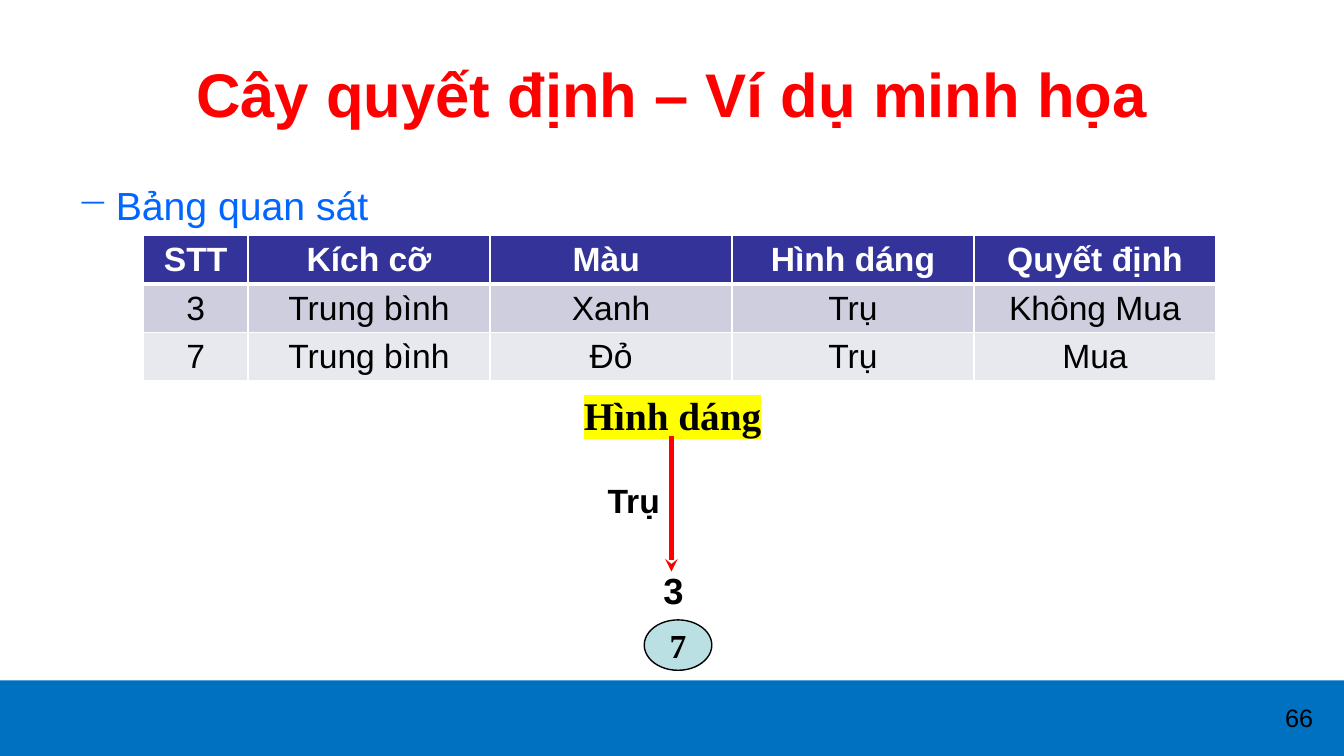
from lxml import etree
from pptx import Presentation
from pptx import util as u
from pptx.dml.color import RGBColor
from pptx.enum import shapes, text
from pptx.oxml.ns import qn


def rgb(value):
    return RGBColor.from_string(value)


def write(tf, words, size, color="000000", font="Arial", bold=True,
          align=text.PP_ALIGN.CENTER, anchor=text.MSO_ANCHOR.MIDDLE, wrap=True):
    tf.word_wrap = wrap
    tf.vertical_anchor = anchor
    p = tf.paragraphs[0]
    p.alignment = align
    r = p.add_run()
    r.text = words
    r.font.size = u.Pt(size)
    r.font.name = font
    r.font.bold = bold
    r.font.color.rgb = rgb(color)
    return p


prs = Presentation()
prs.slide_width = u.Inches(13.33)
prs.slide_height = u.Inches(7.5)
s = prs.slides.add_slide(prs.slide_layouts[6])

footer = s.shapes.add_shape(shapes.MSO_SHAPE.RECTANGLE, 0, u.Inches(6.75),
                            prs.slide_width, u.Inches(0.75))
footer.shadow.inherit = False
footer.fill.solid()
footer.fill.fore_color.rgb = rgb("0070C0")
footer.line.fill.background()

top = text.MSO_ANCHOR.TOP
serif = "Times New Roman"
labels = [
    ("66", (12.44, 6.92, 0.89, 0.4), dict(size=18, bold=False, anchor=top)),
    ("Cây quyết định – Ví dụ minh họa", (0.67, 0.3, 12, 1.25),
     dict(size=44, color="FF0000")),
    ("Bảng quan sát", (0.67, 1.75, 12, 0.58),
     dict(size=28, color="0066FF", bold=False, align=text.PP_ALIGN.LEFT, anchor=top)),
    ("Trụ", (4.91, 4.67, 2.75, 0.58), dict(size=24)),
    ("3", (5.89, 5.56, 1.58, 0.58), dict(size=26)),
    ("Hình dáng", (5.68, 3.83, 1.98, 0.57),
     dict(size=28, font=serif, anchor=top, wrap=False)),
]
paragraphs = {}
for words, box, style in labels:
    tb = s.shapes.add_textbox(*[u.Inches(v) for v in box])
    paragraphs[words] = write(tb.text_frame, words, **style)

pPr = paragraphs["Bảng quan sát"]._p.get_or_add_pPr()
pPr.set("marL", str(u.Inches(0.38)))
pPr.set("indent", str(-u.Inches(0.38)))
etree.SubElement(pPr, qn("a:buChar")).set("char", "─")

rPr = paragraphs["Hình dáng"].runs[0]._r.get_or_add_rPr()
highlight = etree.Element(qn("a:highlight"))
etree.SubElement(highlight, qn("a:srgbClr")).set("val", "FFFF00")
rPr.find(qn("a:solidFill")).addnext(highlight)

rows = [
    ("STT", "Kích cỡ", "Màu ", "Hình dáng", "Quyết định"),
    ("3", "Trung bình", "Xanh", "Trụ", "Không Mua"),
    ("7", "Trung bình", "Đỏ", "Trụ", "Mua"),
]
fills = ["333399", "CECEDE", "E8E8EF"]
table = s.shapes.add_table(3, 5, u.Inches(1.42), u.Inches(2.34),
                           u.Inches(10.64), u.Inches(1.41)).table
for i, column in enumerate(table.columns):
    column.width = u.Inches(2.4 if i else 1.04)
for i, row in enumerate(rows):
    table.rows[i].height = u.Inches(0.47)
    header = i == 0
    for j, words in enumerate(row):
        cell = table.cell(i, j)
        cell.margin_top = cell.margin_bottom = u.Inches(0.04)
        write(cell.text_frame, words, 24, "FFFFFF" if header else "000000", bold=header)
        cell.vertical_anchor = text.MSO_ANCHOR.MIDDLE
        cell.fill.solid()
        cell.fill.fore_color.rgb = rgb(fills[i])
        tcPr = cell._tc.get_or_add_tcPr()
        for k, side in enumerate(("lnL", "lnR", "lnT", "lnB")):
            thick = (side == "lnB" and i == 0) or (side == "lnT" and i == 1)
            ln = etree.Element(qn("a:" + side), w=str(u.Pt(3 if thick else 1)))
            fill = etree.SubElement(ln, qn("a:solidFill"))
            etree.SubElement(fill, qn("a:srgbClr")).set("val", "FFFFFF")
            tcPr.insert(k, ln)

arrow = s.shapes.add_connector(shapes.MSO_CONNECTOR.STRAIGHT, u.Inches(6.66),
                               u.Inches(4.33), u.Inches(6.66), u.Inches(5.67))
arrow.line.color.rgb = rgb("FF0000")
arrow.line.width = u.Pt(3)
etree.SubElement(arrow.line._get_or_add_ln(), qn("a:tailEnd")).set("type", "stealth")
etree.SubElement(arrow._element.spPr, qn("a:effectLst"))

leaf = s.shapes.add_shape(shapes.MSO_SHAPE.OVAL, u.Inches(6.39), u.Inches(6.15),
                          u.Inches(0.67), u.Inches(0.5))
leaf.shadow.inherit = False
leaf.fill.solid()
leaf.fill.fore_color.rgb = rgb("BBE0E3")
leaf.line.color.rgb = rgb("000000")
leaf.line.width = u.Pt(1)
write(leaf.text_frame, "7", 24, font=serif, wrap=False)

prs.save("out.pptx")
